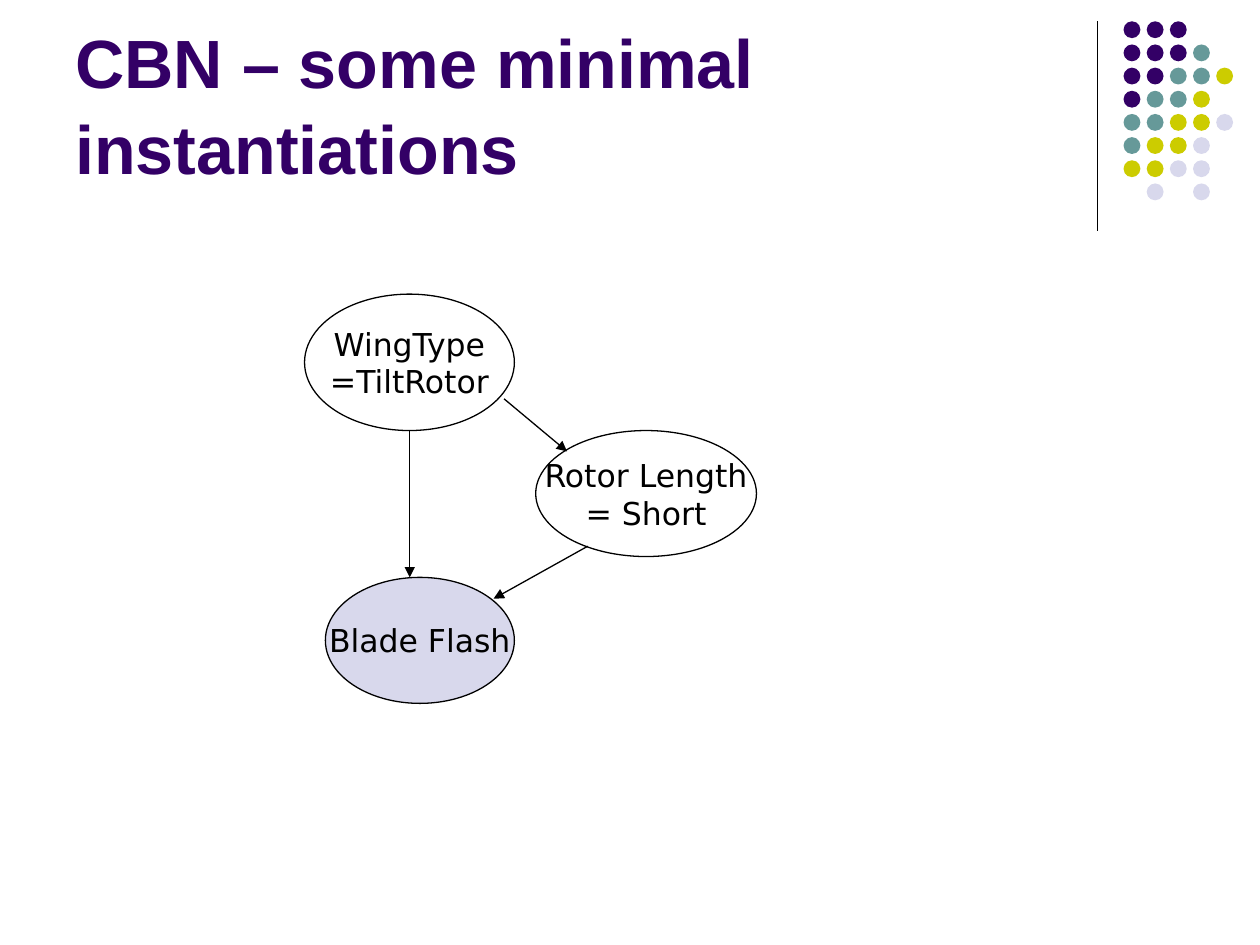
import lxml.etree
import pptx
import pptx.dml.color
import pptx.enum.shapes
import pptx.enum.text
import pptx.oxml.ns
import pptx.util

Cm = pptx.util.Cm
Anchor = pptx.enum.text.MSO_ANCHOR
Align = pptx.enum.text.PP_ALIGN
OVAL = pptx.enum.shapes.MSO_SHAPE.OVAL

PURPLE, TEAL, OLIVE, LAVENDER, BLACK = "330066", "669999", "CCCC00", "D8D8EC", "000000"


def color(hex_code):
    return pptx.dml.color.RGBColor.from_string(hex_code)


def write_text(frame, text, *, size, font, ink=BLACK, bold=False, align=Align.LEFT,
               anchor=Anchor.MIDDLE, wrap=True, spacing=1.0):
    frame.word_wrap = wrap
    frame.vertical_anchor = anchor
    frame.margin_left = frame.margin_right = Cm(0.25)
    frame.margin_top = frame.margin_bottom = Cm(0.13)
    for index, line in enumerate(text.split("\n")):
        paragraph = frame.add_paragraph() if index else frame.paragraphs[0]
        paragraph.alignment = align
        paragraph.line_spacing = spacing
        run = paragraph.add_run()
        run.text = line
        run.font.size = pptx.util.Pt(size)
        run.font.name = font
        run.font.bold = bold
        run.font.color.rgb = color(ink)


class NetworkSlide:
    title_font = "Arial"
    node_font = "DejaVu Sans"
    line_width = pptx.util.Pt(0.75)

    def __init__(self, slide):
        self.slide = slide

    def title(self, text, left, top, width, height):
        heading = self.slide.shapes.add_textbox(Cm(left), Cm(top), Cm(width), Cm(height))
        write_text(heading.text_frame, text, size=39, font=self.title_font, ink=PURPLE,
                   bold=True, anchor=Anchor.BOTTOM, spacing=1.05)

    def oval(self, shapes, left, top, width, height, fill=None, outline=None):
        oval = shapes.add_shape(OVAL, Cm(left), Cm(top), Cm(width), Cm(height))
        oval.shadow.inherit = False
        if fill:
            oval.fill.solid()
            oval.fill.fore_color.rgb = color(fill)
        else:
            oval.fill.background()
        if outline:
            oval.line.color.rgb = color(outline)
            oval.line.width = self.line_width
        else:
            oval.line.fill.background()
        return oval

    def node(self, text, left, top, width, height, fill=None):
        node = self.oval(self.slide.shapes, left, top, width, height, fill, BLACK)
        write_text(node.text_frame, text, size=18, font=self.node_font,
                   align=Align.CENTER, wrap=False)

    def dot_pattern(self, rows, left, top, pitch, diameter):
        palette = {"P": PURPLE, "T": TEAL, "O": OLIVE, "L": LAVENDER}
        dots = self.slide.shapes.add_group_shape().shapes
        for row, letters in enumerate(rows):
            for column, letter in enumerate(letters):
                if letter in palette:
                    self.oval(dots, left + column * pitch, top + row * pitch,
                              diameter, diameter, palette[letter])

    def line(self, start, end, arrow=False):
        line = self.slide.shapes.add_connector(
            pptx.enum.shapes.MSO_CONNECTOR.STRAIGHT, *map(Cm, start + end))
        line.line.color.rgb = color(BLACK)
        line.line.width = self.line_width
        if arrow:
            lxml.etree.SubElement(line.line._get_or_add_ln(),
                                  pptx.oxml.ns.qn("a:tailEnd"), type="triangle")
        lxml.etree.SubElement(line._element.spPr, pptx.oxml.ns.qn("a:effectLst"))


def main():
    deck = pptx.Presentation()
    deck.slide_width, deck.slide_height = Cm(25.4), Cm(19.05)
    network = NetworkSlide(deck.slides.add_slide(deck.slide_layouts[6]))

    network.line((22.12, 0.43), (22.12, 4.65))
    dot_rows = ["PPP", "PPPT", "PPTTO", "PTTO", "TTOOL", "TOOL", "OOLL", ".L.L"]
    network.dot_pattern(dot_rows, left=22.65, top=0.43, pitch=0.467, diameter=0.34)

    network.title("CBN – some minimal instantiations", 1.27, 0.33, 20.96, 3.6)

    network.node("WingType\n=TiltRotor", 6.14, 5.93, 4.23, 2.75)
    network.node("Rotor Length\n= Short", 10.8, 8.68, 4.45, 2.54)
    network.node("Blade Flash", 6.56, 11.64, 3.81, 2.54, fill=LAVENDER)

    wing_to_blade = (8.26, 8.68), (8.26, 11.64)
    rotor_to_blade = (11.85, 11.01), (9.95, 12.07)
    wing_to_rotor = (10.16, 8.04), (11.43, 9.1)
    for start, end in (wing_to_blade, rotor_to_blade, wing_to_rotor):
        network.line(start, end, arrow=True)

    deck.save("out.pptx")


if __name__ == "__main__":
    main()
